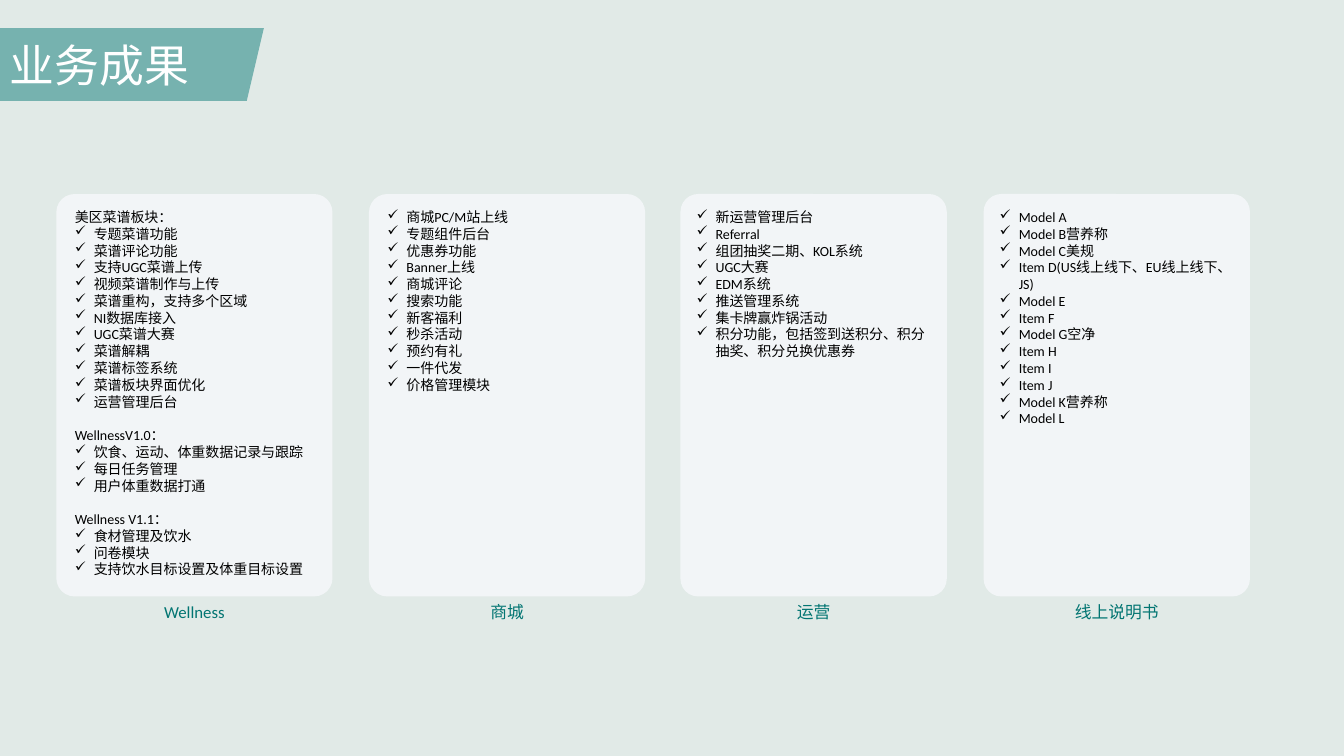
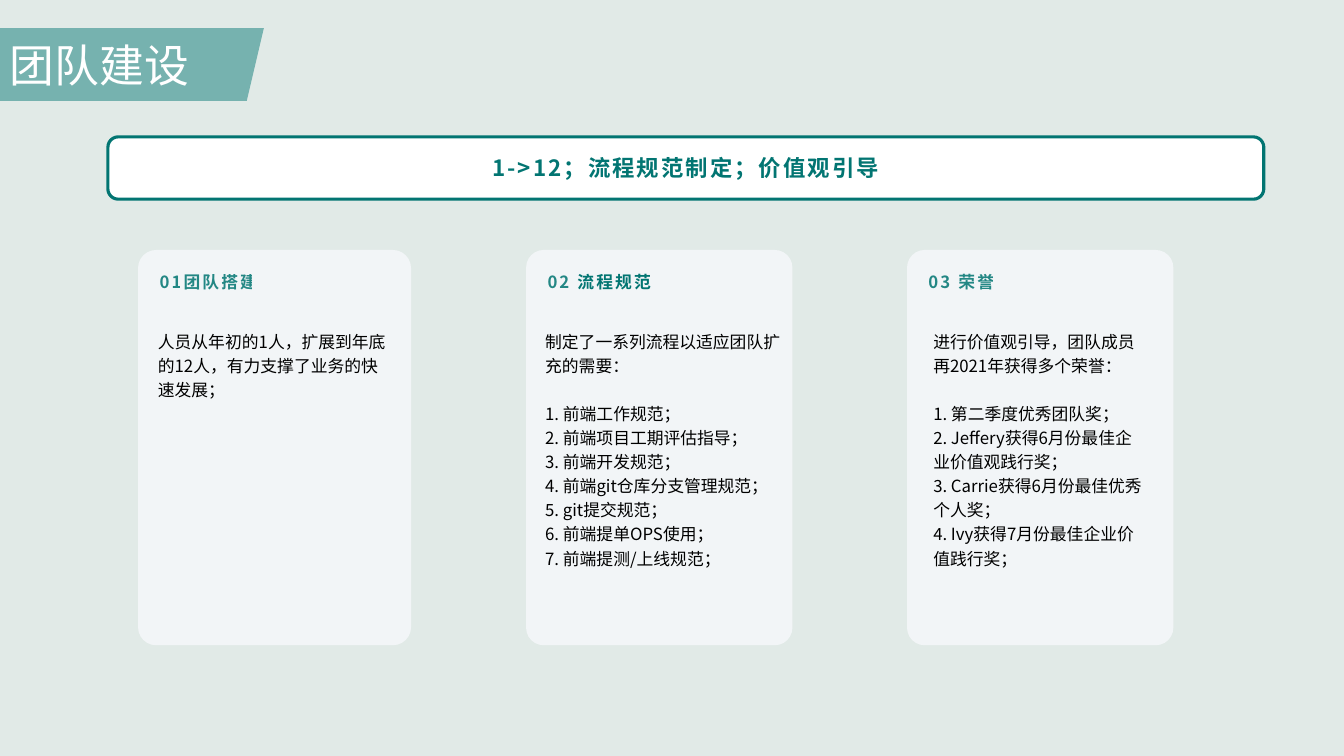
from lxml import etree
from pptx import Presentation
from pptx import util as u
from pptx.dml.color import RGBColor
from pptx.enum import shapes, text
from pptx.oxml.ns import qn

Cm, Pt = u.Cm, u.Pt
COLORS = {"ground": "E1EAE7", "card": "F2F5F7", "teal": "027572",
          "white": "FFFFFF", "ink": "000000"}
LATIN, HAN = "Calibri", "Noto Sans CJK SC"

OUTCOMES = [  # left, width, text width, label width, label, groups of (heading, items)
    (1.42, 6.96, 6.53, 2.46, "Wellness", [
        ("美区菜谱板块：", ["专题菜谱功能", "菜谱评论功能", "支持UGC菜谱上传", "视频菜谱制作与上传",
                     "菜谱重构，支持多个区域", "NI数据库接入", "UGC菜谱大赛", "菜谱解耦",
                     "菜谱标签系统", "菜谱板块界面优化", "运营管理后台"]),
        ("WellnessV1.0：", ["饮食、运动、体重数据记录与跟踪", "每日任务管理", "用户体重数据打通"]),
        ("Wellness V1.1：", ["食材管理及饮水", "问卷模块", "支持饮水目标设置及体重目标设置"])]),
    (9.3, 6.96, 6.53, 2.11, "商城", [
        (None, ["商城PC/M站上线", "专题组件后台", "优惠券功能", "Banner上线", "商城评论", "搜索功能",
                "新客福利", "秒杀活动", "预约有礼", "一件代发", "价格管理模块"])]),
    (17.15, 6.71, 6.4, 2.11, "运营", [
        (None, ["新运营管理后台", "Referral", "组团抽奖二期、KOL系统", "UGC大赛", "EDM系统",
                "推送管理系统", "集卡牌赢炸锅活动",
                "积分功能，包括签到送积分、积分抽奖、积分兑换优惠券"])]),
    (24.79, 6.71, 6.4, 3.28, "线上说明书", [
        (None, ["Model A", "Model B营养称", "Model C美规", "Item D(US线上线下、EU线上线下、JS)",
                "Model E", "Item F", "Model G空净", "Item H", "Item I", "Item J",
                "Model K营养称", "Model L"])]),
]

TEAM = [  # left, width, text left, text width, text height, heading runs, intro, list
    (3.48, 6.88, 3.73, 6.4, 2.72, [("01团队搭建", 85)],
     "人员从年初的1人，扩展到年底的12人，有力支撑了业务的快速发展；", []),
    (13.26, 6.71, 13.49, 6.48, 6.4, [("02 ", 85), ("流程规范", 100)],
     "制定了一系列流程以适应团队扩充的需要：",
     ["1. 前端工作规范；", "2. 前端项目工期评估指导；", "3. 前端开发规范；",
      "4. 前端git仓库分支管理规范；", "5. git提交规范；", "6. 前端提单OPS使用；",
      "7. 前端提测/上线规范；"]),
    (22.86, 6.71, 23.27, 5.89, 6.4, [("03 荣誉", 85)],
     "进行价值观引导，团队成员再2021年获得多个荣誉：",
     ["1. 第二季度优秀团队奖；", "2. Jeffery获得6月份最佳企业价值观践行奖；",
      "3. Carrie获得6月份最佳优秀个人奖；", "4. Ivy获得7月份最佳企业价值践行奖；"]),
]


def rgb(name):
    """Return a palette colour."""
    return RGBColor.from_string(COLORS[name])


def set_alpha(element, percent):
    """Make the first solid colour inside the element partly transparent."""
    color = element.find(".//" + qn("a:srgbClr"))
    etree.SubElement(color, qn("a:alpha"), val=str(percent * 1000))


def paint(shape, fill, line=None, weight=2.25):
    """Give a shape a flat fill, an optional outline and no shadow."""
    shape.shadow.inherit = False
    shape.fill.solid()
    shape.fill.fore_color.rgb = rgb(fill)
    if line:
        shape.line.color.rgb = rgb(line)
        shape.line.width = Pt(weight)
    else:
        shape.line.fill.background()


def add_run(paragraph, words, size, color, font, bold=False, spacing=0, opacity=100):
    """Append one styled run."""
    run = paragraph.add_run()
    run.text = words
    run.font.size, run.font.name, run.font.bold = Pt(size), font, bold
    run.font.color.rgb = rgb(color)
    props = run._r.get_or_add_rPr()
    if font == HAN:
        etree.SubElement(props, qn("a:ea"), typeface=font)
    if spacing:
        props.set("spc", str(int(spacing * 100)))
    if opacity < 100:
        set_alpha(props, opacity)


def add_bullet(paragraph):
    """Turn a paragraph into a check-mark item with a hanging indent."""
    props = paragraph._p.get_or_add_pPr()
    props.set("marL", str(Cm(0.48)))
    props.set("indent", str(-Cm(0.48)))
    etree.SubElement(props, qn("a:buChar"), char="✓")


def text_frame(slide, left, top, width, height):
    """Add a wrapping text box and return its frame."""
    frame = slide.shapes.add_textbox(Cm(left), Cm(top), Cm(width), Cm(height)).text_frame
    frame.word_wrap = True
    return frame


def fill_lines(frame, lines, size, pitch, font):
    """Write (words, bulleted, gap before) lines at a fixed line pitch."""
    for index, (words, bulleted, gap) in enumerate(lines):
        paragraph = frame.add_paragraph() if index else frame.paragraphs[0]
        paragraph.line_spacing = Pt(pitch)
        if gap:
            paragraph.space_before = Pt(pitch)
        if bulleted:
            add_bullet(paragraph)
        add_run(paragraph, words, size, "ink", font)


def rounded_box(slide, left, top, width, height, fill, line=None):
    """Add a painted rounded rectangle."""
    box = slide.shapes.add_shape(shapes.MSO_SHAPE.ROUNDED_RECTANGLE,
                                 Cm(left), Cm(top), Cm(width), Cm(height))
    paint(box, fill, line)
    return box


def card(slide, left, top, width, height):
    """Add a pale card with small corners."""
    panel = rounded_box(slide, left, top, width, height, "card")
    panel.adjustments[0] = 0.066
    return panel


def title_band(slide, title, top=0.71, width=6.65, height=1.83, slant=0.43):
    """Draw the slanted title band at the left edge."""
    builder = slide.shapes.build_freeform(0, Cm(top), scale=1.0)
    builder.add_line_segments([(Cm(width), Cm(top)), (Cm(width - slant), Cm(top + height)),
                               (0, Cm(top + height))], close=True)
    band = builder.convert_to_shape()
    paint(band, "teal")
    set_alpha(band._element.spPr, 48)
    band.text_frame.word_wrap = True
    band.text_frame.vertical_anchor = text.MSO_ANCHOR.MIDDLE
    heading = band.text_frame.paragraphs[0]
    heading.alignment = text.PP_ALIGN.LEFT
    add_run(heading, title, 32, "white", HAN)


def new_slide(deck, title):
    """Add a blank slide with the shared ground and title band."""
    slide = deck.slides.add_slide(deck.slide_layouts[6])
    slide.background.fill.solid()
    slide.background.fill.fore_color.rgb = rgb("ground")
    title_band(slide, title)
    return slide


def outcome_column(slide, left, top, width, height, text_width, label_width, label, groups):
    """Place a card of check-marked items with its label below."""
    card(slide, left, top, width, height)
    lines = []
    for heading, items in groups:
        if heading:
            lines.append((heading, False, bool(lines)))
        lines += [(item, True, False) for item in items]
    items_frame = text_frame(slide, left + (width - text_width) / 2, top + 0.24,
                             text_width, height - 0.48)
    fill_lines(items_frame, lines, 10, 12, LATIN)
    label_frame = text_frame(slide, left + (width - label_width) / 2, top + height,
                             label_width, 0.76)
    caption = label_frame.paragraphs[0]
    caption.alignment = text.PP_ALIGN.CENTER
    add_run(caption, label, 12, "teal", LATIN)


def team_column(slide, left, top, width, height, text_box, heading, intro, points):
    """Place a card with a numbered heading, an introduction and a list."""
    frame = card(slide, left, top, width, height).text_frame
    frame.word_wrap = True
    frame.vertical_anchor = text.MSO_ANCHOR.TOP
    frame.margin_left = frame.margin_right = frame.margin_top = frame.margin_bottom = Cm(0.41)
    paragraph = frame.paragraphs[0]
    paragraph.alignment = text.PP_ALIGN.LEFT
    paragraph.space_after = Pt(4)
    for words, opacity in heading:
        add_run(paragraph, words, 12, "teal", HAN, True, 1.5, opacity)
    text_left, text_width, text_height = text_box
    lines = [(intro, False, False)]
    lines += [(point, False, index == 0) for index, point in enumerate(points)]
    fill_lines(text_frame(slide, text_left, top + 1.83, text_width, text_height),
               lines, 12, 17.2, HAN)


def summary_banner(slide, left, top, width, height, summary):
    """Place the outlined summary banner."""
    frame = rounded_box(slide, left, top, width, height, "white", "teal").text_frame
    frame.word_wrap = True
    frame.vertical_anchor = text.MSO_ANCHOR.MIDDLE
    paragraph = frame.paragraphs[0]
    paragraph.alignment = text.PP_ALIGN.CENTER
    paragraph.space_after = Pt(4)
    add_run(paragraph, summary, 16, "teal", HAN, True, 1.5)


def outcomes_slide(deck):
    """Build the slide of business outcomes."""
    slide = new_slide(deck, "业务成果")
    for left, width, text_width, label_width, label, groups in OUTCOMES:
        outcome_column(slide, left, 4.89, width, 10.14, text_width, label_width, label, groups)


def team_slide(deck):
    """Build the slide of team building."""
    slide = new_slide(deck, "团队建设")
    for left, width, text_left, text_width, text_height, heading, intro, points in TEAM:
        team_column(slide, left, 6.3, width, 9.96, (text_left, text_width, text_height),
                    heading, intro, points)
    summary_banner(slide, 2.72, 3.45, 29.13, 1.57, "1->12；流程规范制定；价值观引导")


deck = Presentation()
deck.slide_width, deck.slide_height = Cm(33.87), Cm(19.05)
outcomes_slide(deck)
team_slide(deck)
deck.save("out.pptx")
